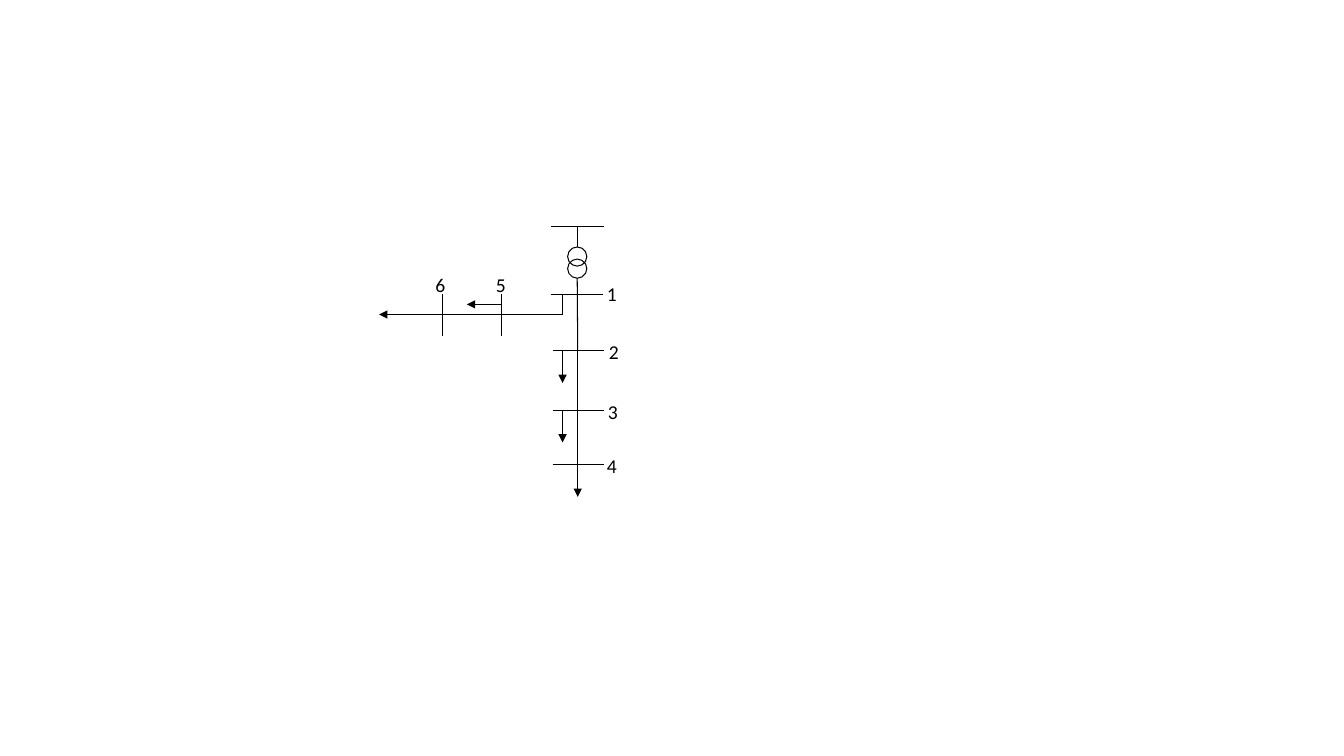
import pptx
import pptx.dml.color
import pptx.enum.shapes
import pptx.enum.text
import pptx.util
from pptx.util import Inches

BLACK = pptx.dml.color.RGBColor(0, 0, 0)
FONT = "Calibri"
BUS_LENGTH = 0.51
CROSSBAR_LENGTH = 0.41
COIL_SIZE = 0.19
LABEL_SIZE = (0.3, 0.34)


def add_wire(page, start, end, arrow=False, width=0.75):
    wire = page.shapes.add_connector(
        pptx.enum.shapes.MSO_CONNECTOR.STRAIGHT,
        *(Inches(value) for value in (*start, *end)))
    wire.line.color.rgb = BLACK
    wire.line.width = pptx.util.Pt(width)
    if arrow:
        line = wire.line._get_or_add_ln()
        line.append(pptx.oxml.parse_xml(
            '<a:tailEnd xmlns:a="http://schemas.openxmlformats.org/drawingml/2006/main"'
            ' type="triangle"/>'))
    properties = wire._element.spPr
    properties.append(properties.makeelement(pptx.oxml.ns.qn("a:effectLst"), {}))


def add_label(page, text, left, top):
    box = page.shapes.add_textbox(*(Inches(value) for value in (left, top, *LABEL_SIZE)))
    frame = box.text_frame
    frame.text = text
    frame.word_wrap = False
    frame.auto_size = pptx.enum.text.MSO_AUTO_SIZE.SHAPE_TO_FIT_TEXT
    font = frame.paragraphs[0].runs[0].font
    font.name = FONT
    font.size = pptx.util.Pt(14)
    font.color.rgb = BLACK


def add_transformer(page, left, top):
    """Draw the supply bus and the two overlapping coils below it."""
    center = left + 0.255
    add_wire(page, (left, top), (left + BUS_LENGTH, top), width=0.5)
    add_wire(page, (left + 0.01, top), (left + 0.01 + BUS_LENGTH, top))
    add_wire(page, (center, top), (center, top + 0.2))
    for offset in (0.2, 0.32):
        coil = page.shapes.add_shape(
            pptx.enum.shapes.MSO_SHAPE.OVAL, Inches(center - COIL_SIZE / 2),
            Inches(top + offset), Inches(COIL_SIZE), Inches(COIL_SIZE))
        coil.shadow.inherit = False
        coil.fill.background()
        coil.line.color.rgb = BLACK
        coil.line.width = pptx.util.Pt(0.75)


def add_main_feeder(page, left, top):
    """Draw buses 1 to 4 down the trunk, with their loads."""
    trunk = left + 0.26
    tap = left + 0.11
    # name, bus shift, bus drop, label shift, label drop
    buses = (("1", 0, 0.16, 0.45, -0.01), ("2", 0.01, 0.72, 0.47, 0.56),
             ("3", 0.01, 1.31, 0.46, 1.16), ("4", 0.01, 1.85, 0.45, 1.69))
    for name, shift, drop, label_shift, label_drop in buses:
        level = top + drop
        add_wire(page, (left + shift, level), (left + shift + BUS_LENGTH, level))
        add_label(page, name, left + label_shift, top + label_drop)
        if name in ("2", "3"):
            add_wire(page, (tap, level), (tap, level + 0.32), arrow=True)
    add_wire(page, (trunk - 0.005, top), (trunk, top + 0.72))
    add_wire(page, (trunk, top + 0.72), (trunk, top + 1.85))
    add_wire(page, (trunk, top + 1.85), (trunk, top + 2.17), arrow=True)


def add_side_feeder(page, left, top):
    """Draw the branch from bus 1 through buses 5 and 6."""
    branch_level = top + 0.2
    tap = left + 1.82
    branch_end = left + 0.41
    add_wire(page, (tap, top), (tap, branch_level))
    add_wire(page, (tap, branch_level), (branch_end, branch_level))
    add_wire(page, (branch_end, branch_level), (left, branch_level), arrow=True)
    for name, offset, label_offset in (("5", 1.21, 1.06), ("6", 0.63, 0.46)):
        crossbar = left + offset
        add_wire(page, (crossbar, top), (crossbar, top + CROSSBAR_LENGTH))
        add_label(page, name, left + label_offset, top - 0.26)
    add_wire(page, (left + 1.21, top + 0.1), (left + 0.87, top + 0.1), arrow=True)


def main():
    deck = pptx.Presentation()
    deck.slide_width = Inches(13.33)
    deck.slide_height = Inches(7.5)
    page = deck.slides.add_slide(deck.slide_layouts[6])
    add_transformer(page, 5.47, 2.25)
    add_main_feeder(page, 5.47, 2.76)
    add_side_feeder(page, 3.76, 2.92)
    deck.save("out.pptx")


if __name__ == "__main__":
    main()
